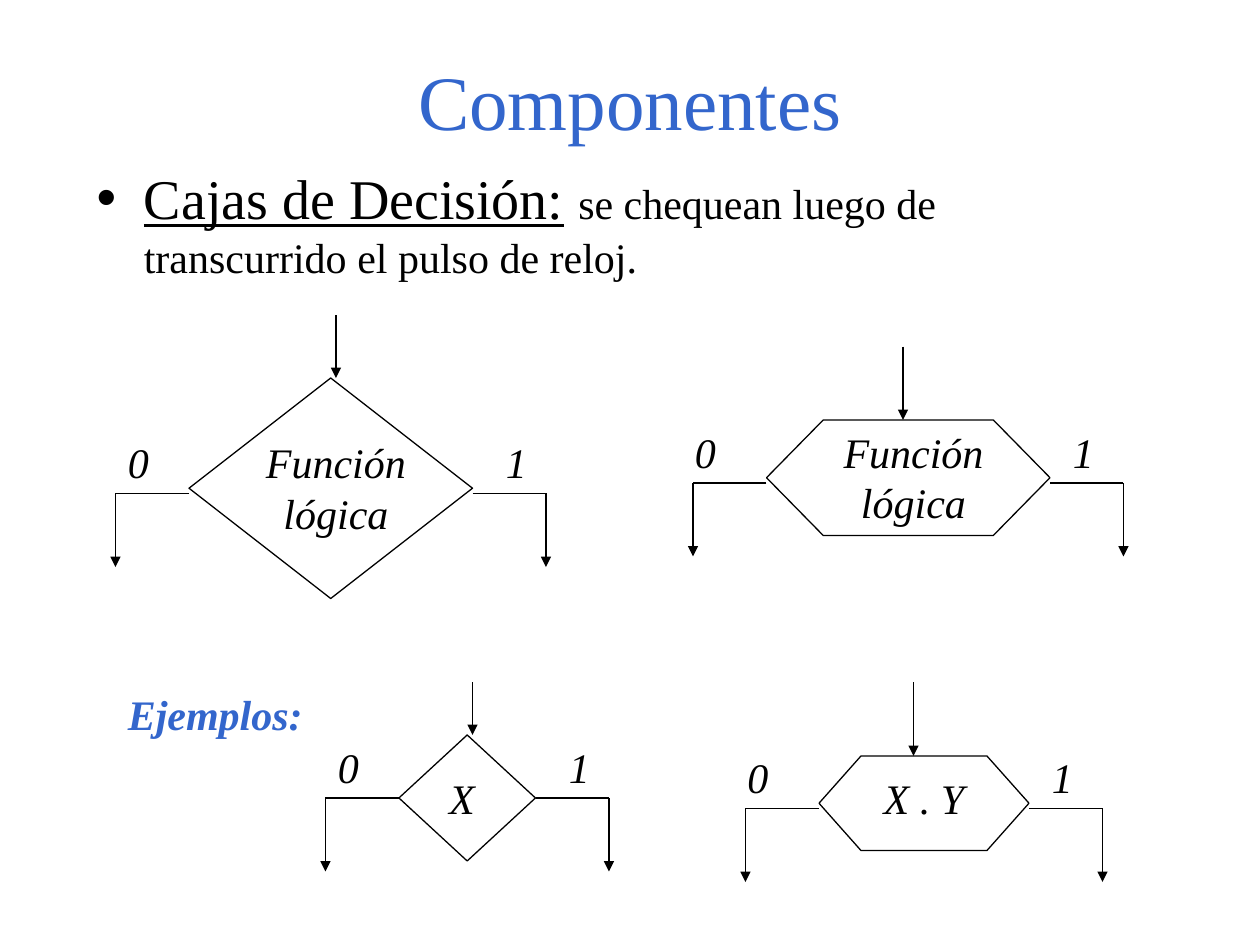
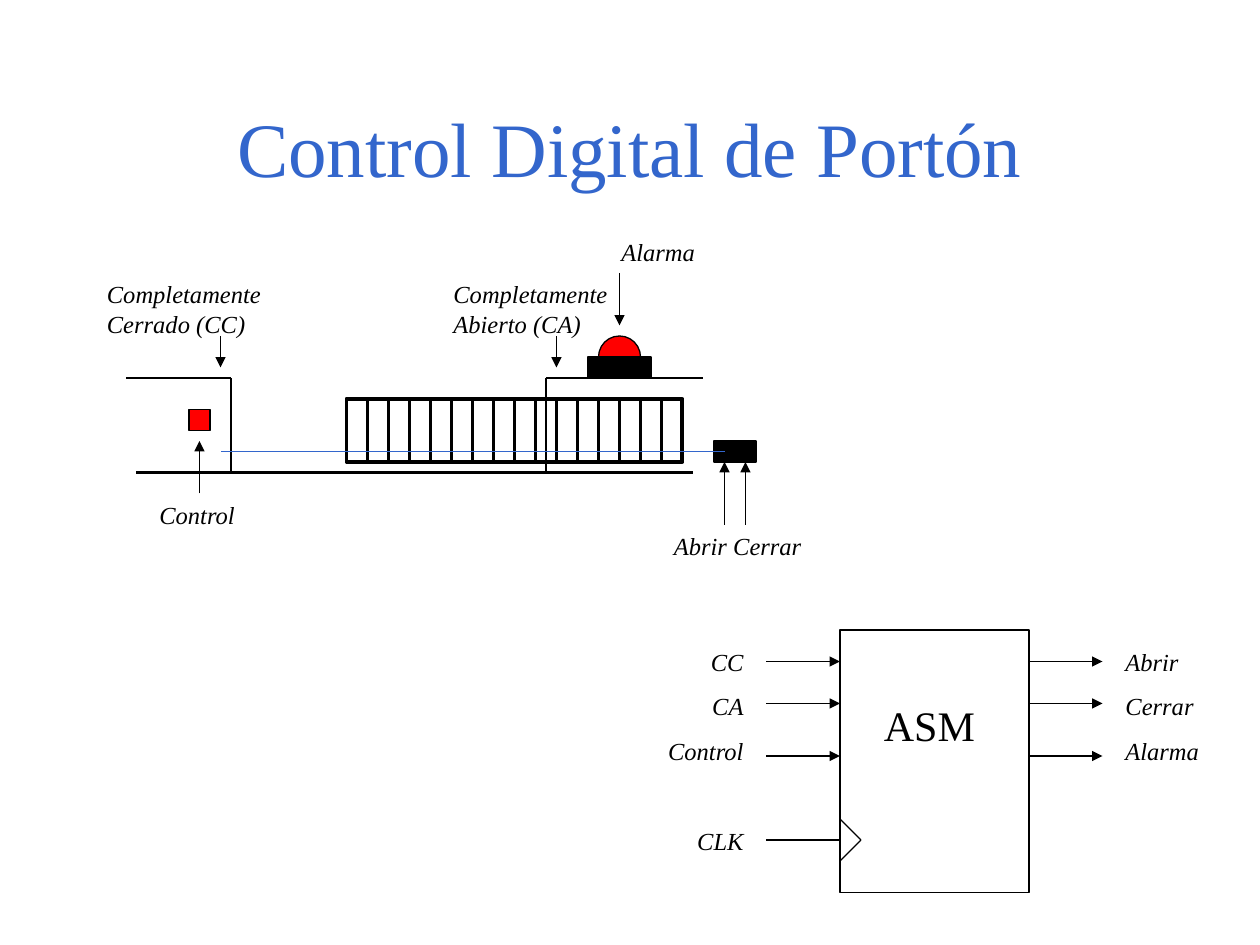
"""Builds two slides on ASM charts: decision boxes and a digital gate control."""
from lxml import etree
from pptx import Presentation
from pptx.dml.color import RGBColor
from pptx.enum.shapes import MSO_CONNECTOR, MSO_SHAPE
from pptx.enum.text import MSO_ANCHOR, MSO_AUTO_SIZE, PP_ALIGN
from pptx.oxml.ns import qn
from pptx.util import Pt

BLACK = RGBColor(0x00, 0x00, 0x00)
BLUE = RGBColor(0x33, 0x66, 0xCC)
RED = RGBColor(0xFF, 0x00, 0x00)
FONT = "Times New Roman"
STRAIGHT = MSO_CONNECTOR.STRAIGHT
DIAMOND, HEXAGON = MSO_SHAPE.FLOWCHART_DECISION, MSO_SHAPE.FLOWCHART_PREPARATION
RECT, OVAL = MSO_SHAPE.RECTANGLE, MSO_SHAPE.OVAL
LEFT, CENTER, RIGHT = PP_ALIGN.LEFT, PP_ALIGN.CENTER, PP_ALIGN.RIGHT
FIT, FIXED = MSO_AUTO_SIZE.SHAPE_TO_FIT_TEXT, MSO_AUTO_SIZE.NONE


def add_line(s, x1, y1, x2, y2, arrow=False, width=0.75, color=BLACK):
    """Draws a straight line, with an arrowhead at its end if asked."""
    c = s.shapes.add_connector(STRAIGHT, Pt(x1), Pt(y1), Pt(x2), Pt(y2))
    c.line.color.rgb = color
    c.line.width = Pt(width)
    if arrow:
        etree.SubElement(c.line._get_or_add_ln(), qn("a:tailEnd"), type="triangle")
    etree.SubElement(c._element.spPr, qn("a:effectLst"))


def add_text(s, x, y, w, h, text, size=14, align=LEFT, color=BLACK, italic=True, bold=False):
    """Adds a text box, one paragraph to a line, and returns its text frame."""
    tf = s.shapes.add_textbox(Pt(x), Pt(y), Pt(w), Pt(h)).text_frame
    tf.word_wrap = True
    tf.auto_size = FIT
    tf.text = text
    for p in tf.paragraphs:
        p.alignment = align
        p.space_before = Pt(size * 0.625)
        p.font.name, p.font.size = FONT, Pt(size)
        p.font.italic, p.font.bold = italic, bold
        p.font.color.rgb = color
    return tf


prs = Presentation()
prs.slide_width, prs.slide_height = Pt(720), Pt(540)

slides = []
for layout, title, top, height in [
    (1, "Componentes", 12, 90),
    (5, "Control Digital de Portón", 48, 72),
]:
    s = prs.slides.add_slide(prs.slide_layouts[layout])
    sp = s.shapes.title
    sp.left, sp.top, sp.width, sp.height = Pt(54), Pt(top), Pt(612), Pt(height)
    tf = sp.text_frame
    tf.text = title
    tf.auto_size = FIXED
    tf.vertical_anchor = MSO_ANCHOR.MIDDLE
    p = tf.paragraphs[0]
    p.alignment = CENTER
    p.font.name, p.font.size = FONT, Pt(44)
    p.font.color.rgb = BLUE
    slides.append(s)

s = slides[0]
sp = s.placeholders[1]
sp.left, sp.top, sp.width, sp.height = Pt(48), Pt(90), Pt(612), Pt(324)
tf = sp.text_frame
tf.auto_size = FIXED
p = tf.paragraphs[0]
p.space_before = Pt(6)
p.font.name = FONT
p.font.color.rgb = BLACK
for text, size, underline in [
    ("Cajas de Decisión:", 32, True),
    (" ", 32, False),
    ("se chequean luego de transcurrido el pulso de reloj.", 24, False),
]:
    r = p.add_run()
    r.text = text
    r.font.size, r.font.underline = Pt(size), underline

ARM = 42
for kind, x, y, w, h, entry_x, entry_y, branch_y, label, label_x, label_y, shift in [
    (DIAMOND, 108, 216, 162, 126, 192, 180, 282, "Función lógica", 138, 246, 0),
    (HEXAGON, 438, 240, 162, 66, 516, 198, 276, "Función lógica", 468, 240, 6),
    (DIAMOND, 228, 420, 78, 72, 270, 390, 456, "X", 210, 438, 0),
    (HEXAGON, 468, 432, 120, 54, 522, 390, 462, "X . Y", 474, 438, 6),
]:
    sp = s.shapes.add_shape(kind, Pt(x), Pt(y), Pt(w), Pt(h))
    sp.shadow.inherit = False
    sp.fill.background()
    sp.line.color.rgb = BLACK
    sp.line.width = Pt(0.75)
    add_line(s, entry_x, entry_y, entry_x, y, arrow=True)
    left, right = x - ARM, x + w + ARM
    for side, end, value, value_x in [
        (x, left, "0", left - shift),
        (x + w, right, "1", right - 30 - shift),
    ]:
        add_line(s, side, branch_y, end, branch_y)
        add_line(s, end, branch_y, end, branch_y + ARM, arrow=True)
        add_text(s, value_x, branch_y - 36, 36, 36, value, 24)
    add_text(s, label_x, label_y, 108, 36, label, 24, CENTER)
add_text(s, 60, 390, 126, 36, "Ejemplos:", 24, CENTER, BLUE, bold=True)

s = slides[1]
for wall in [
    (78, 270, 396, 270),
    (132, 270, 132, 216),
    (132, 216, 72, 216),
    (312, 270, 312, 216),
    (312, 216, 402, 216),
]:
    add_line(s, *wall, width=1.5)
for x in range(210, 379, 12):
    add_line(s, x, 228, x, 264, width=2.25)

for kind, x, y, w, h, fill, width in [
    (RECT, 198, 228, 192, 36, None, 2.25),
    (RECT, 108, 234, 12, 12, RED, 0.75),
    (OVAL, 342, 192, 24, 24, RED, 0.75),
    (RECT, 336, 204, 36, 12, BLACK, 0.75),
    (RECT, 408, 252, 24, 12, BLACK, 0.75),
    (RECT, 480, 360, 108, 150, None, 0.75),
]:
    sp = s.shapes.add_shape(kind, Pt(x), Pt(y), Pt(w), Pt(h))
    sp.shadow.inherit = False
    if fill is None:
        sp.fill.background()
    else:
        sp.fill.solid()
        sp.fill.fore_color.rgb = fill
    sp.line.color.rgb = BLACK
    sp.line.width = Pt(width)

add_line(s, 414, 258, 126, 258, color=BLUE)
for x, start, end in [
    (126, 192, 210),
    (318, 192, 210),
    (114, 282, 252),
    (354, 156, 186),
    (414, 300, 264),
    (426, 300, 264),
]:
    add_line(s, x, start, x, end, arrow=True)

for x, y, w, h, text in [
    (348, 132, 120, 24, "Alarma"),
    (54, 156, 126, 41, "Completamente Cerrado (CC)"),
    (252, 156, 126, 41, "Completamente Abierto (CA)"),
    (84, 282, 72, 24, "Control"),
    (378, 300, 120, 24, "Abrir Cerrar"),
    (636, 366, 60, 76, "Abrir\nCerrar\nAlarma"),
]:
    add_text(s, x, y, w, h, text)

for y in (378, 402, 432):
    for x in (438, 588):
        add_line(s, x, y, x + 42, y, arrow=True)
add_line(s, 438, 480, 480, 480)
for y in (468, 492):
    add_line(s, 480, y, 492, 480)
tf = add_text(s, 312, 366, 120, 127, "CC\nCA\nControl\nCLK", align=RIGHT)
tf.paragraphs[-1].space_before = Pt(34.4)
add_text(s, 498, 396, 84, 36, "ASM", 24, italic=False)

prs.save("out.pptx")
